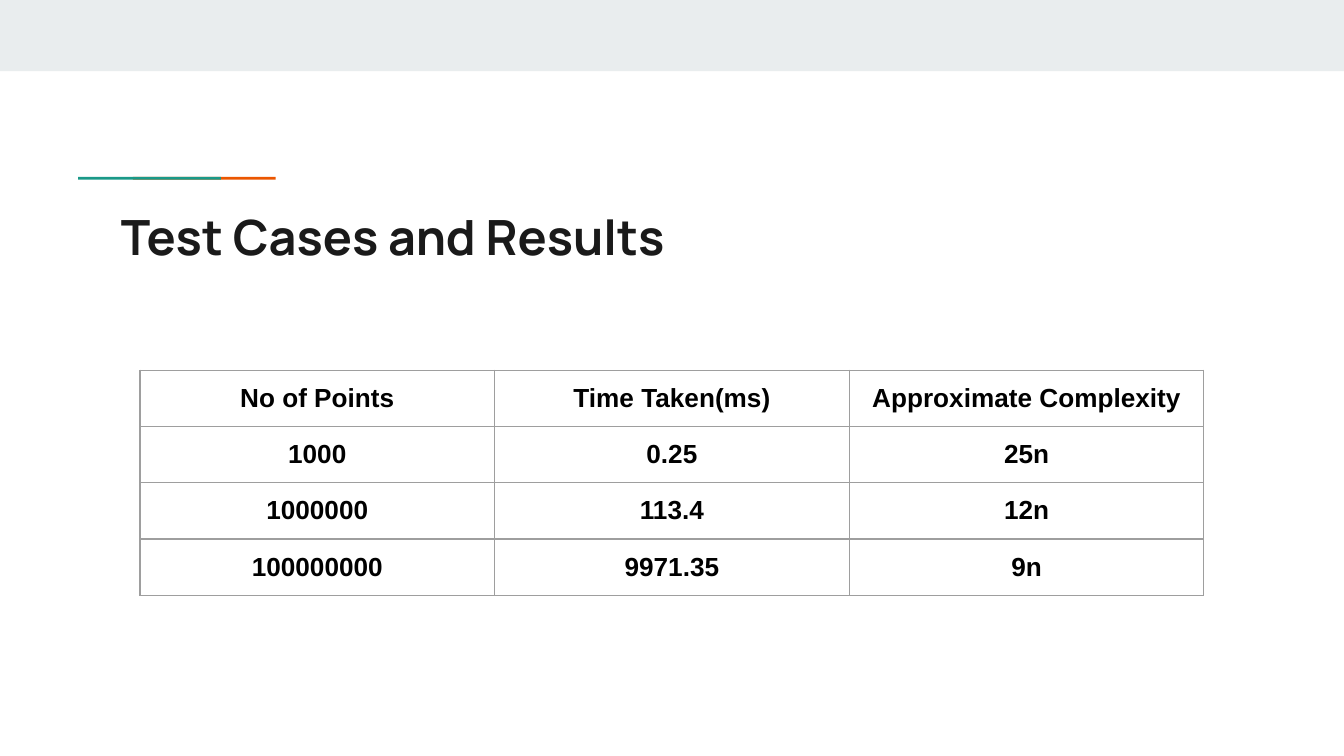
"""Build the slide of test cases and results."""
from dataclasses import dataclass

from lxml import etree
from pptx import Presentation
from pptx.dml.color import RGBColor
from pptx.enum.shapes import MSO_SHAPE
from pptx.enum.text import MSO_ANCHOR, MSO_AUTO_SIZE, PP_ALIGN
from pptx.oxml.ns import qn
from pptx.util import Pt

RECTANGLE = MSO_SHAPE.RECTANGLE
TOP = MSO_ANCHOR.TOP
NO_AUTOFIT = MSO_AUTO_SIZE.NONE
LEFT, CENTER = PP_ALIGN.LEFT, PP_ALIGN.CENTER
TITLE_ONLY = 5


@dataclass(frozen=True)
class Theme:
    band: str = "E9EDEE"
    orange: str = "EB5600"
    teal: str = "1A9988"
    title: str = "1A1A1A"
    text: str = "000000"
    border: str = "9E9E9E"
    title_font: str = "Manrope"
    table_font: str = "Arial"
    title_size: float = 26
    table_size: float = 14
    border_width: float = 0.75
    inset: float = 7.2


THEME = Theme()
RESULTS = [
    ["No of Points", "Time Taken(ms)", "Approximate Complexity"],
    ["1000", "0.25", "25n"],
    ["1000000", "113.4", "12n"],
    ["100000000", "9971.35", "9n"],
]


def add_bar(slide, left, top, width, height, color):
    """Add a plain filled rectangle."""
    shape = slide.shapes.add_shape(RECTANGLE, Pt(left), Pt(top), Pt(width), Pt(height))
    shape.shadow.inherit = False
    shape.fill.solid()
    shape.fill.fore_color.rgb = RGBColor.from_string(color)
    shape.line.fill.background()


def set_margins(holder):
    """Give a cell or text frame the same inset on every side."""
    holder.margin_left = holder.margin_right = Pt(THEME.inset)
    holder.margin_top = holder.margin_bottom = Pt(THEME.inset)


def format_paragraph(paragraph, font_name, size, color, alignment):
    """Set the bold type and alignment of a paragraph."""
    paragraph.alignment = alignment
    font = paragraph.font
    font.name, font.size, font.bold = font_name, Pt(size), True
    font.color.rgb = RGBColor.from_string(color)


def set_title(slide, text):
    """Place and format the title placeholder."""
    title = slide.shapes.title
    title.left, title.top, title.width, title.height = Pt(57.6), Pt(103.5), Pt(605.5), Pt(42.5)
    frame = title.text_frame
    frame.text = text
    frame.word_wrap = True
    frame.auto_size = NO_AUTOFIT
    frame.vertical_anchor = TOP
    set_margins(frame)
    format_paragraph(frame.paragraphs[0], THEME.title_font, THEME.title_size, THEME.title, LEFT)


def set_borders(cell):
    """Draw a thin line on all four sides of a cell."""
    properties = cell._tc.get_or_add_tcPr()
    for side in ("a:lnL", "a:lnR", "a:lnT", "a:lnB"):
        line = etree.SubElement(properties, qn(side), w=str(Pt(THEME.border_width)))
        fill = etree.SubElement(line, qn("a:solidFill"))
        etree.SubElement(fill, qn("a:srgbClr"), val=THEME.border)


def add_results_table(slide, rows, left, top, column_width, row_height):
    """Add a bordered table with centred bold text."""
    row_count, column_count = len(rows), len(rows[0])
    table = slide.shapes.add_table(
        row_count, column_count, Pt(left), Pt(top),
        Pt(column_width * column_count), Pt(row_height * row_count),
    ).table
    table.first_row = table.horz_banding = False
    for row, values in zip(table.rows, rows):
        row.height = Pt(row_height)
        for cell, value in zip(row.cells, values):
            cell.text = value
            set_margins(cell)
            set_borders(cell)
            cell.fill.background()
            format_paragraph(cell.text_frame.paragraphs[0], THEME.table_font,
                             THEME.table_size, THEME.text, CENTER)


def main():
    """Build and save the presentation."""
    presentation = Presentation()
    presentation.slide_width, presentation.slide_height = Pt(720), Pt(405)
    slide = presentation.slides.add_slide(presentation.slide_layouts[TITLE_ONLY])
    add_bar(slide, 0, 0, 720, 38.2, THEME.band)
    for left, color in ((71.2, THEME.orange), (41.8, THEME.teal)):
        add_bar(slide, left, 94.8, 76.5, 1.5, color)
    set_title(slide, "Test Cases and Results")
    add_results_table(slide, RESULTS, left=75, top=198.3, column_width=190, row_height=30)
    presentation.save("out.pptx")


if __name__ == "__main__":
    main()
